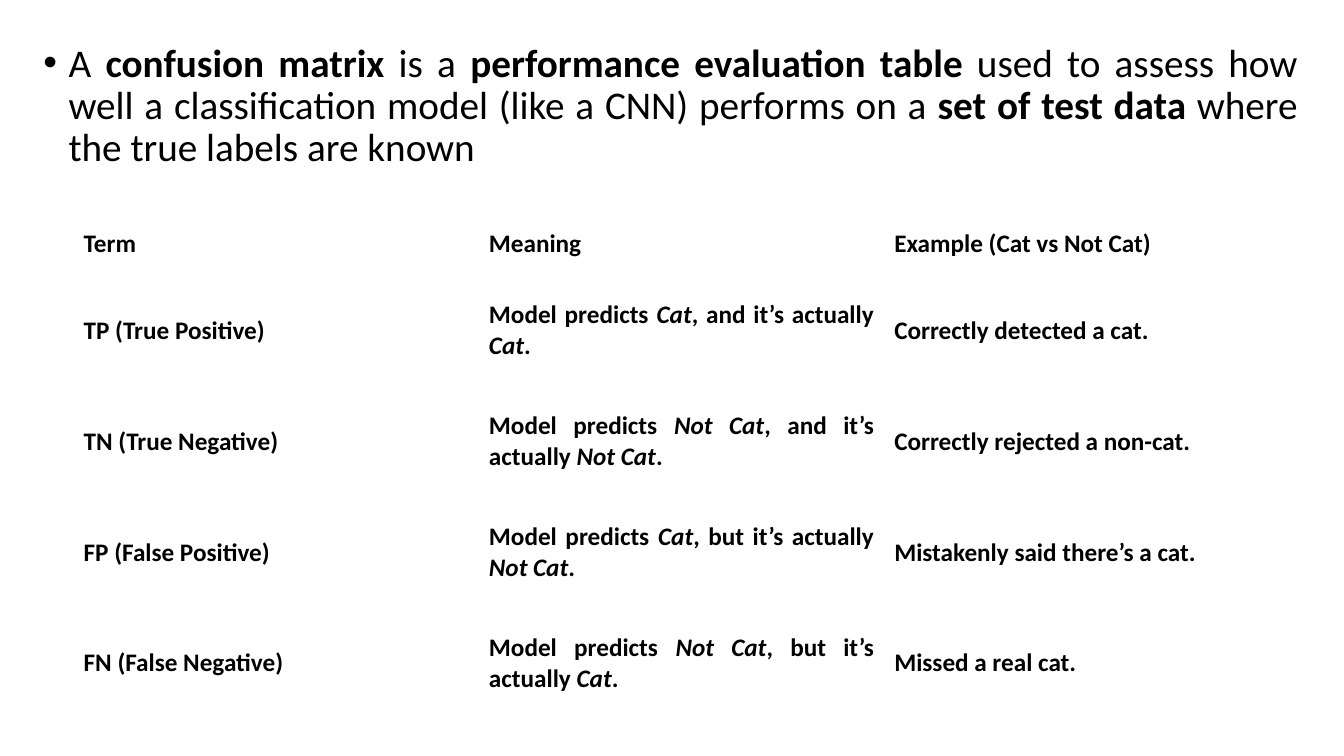
"""Build a slide that explains the terms of a confusion matrix."""
from lxml import etree
from pptx import Presentation
from pptx.dml.color import RGBColor
from pptx.enum import text
from pptx.oxml import ns
from pptx.util import Inches, Pt

COLOURS = {"text": "000000", "page": "FFFFFF"}
FONT = "Calibri"
INTRO = (
    "A *confusion matrix* is a *performance evaluation table* used to assess "
    "how well a classification model (like a CNN) performs on a "
    "*set of test data* where the true labels are known"
)
ROWS = [
    ("Term", "Meaning", "Example (Cat vs Not Cat)"),
    ("TP (True Positive)", "Model predicts *Cat*, and it’s actually *Cat*.",
     "Correctly detected a cat."),
    ("TN (True Negative)", "Model predicts *Not Cat*, and it’s actually *Not Cat*.",
     "Correctly rejected a non-cat."),
    ("FP (False Positive)", "Model predicts *Cat*, but it’s actually *Not Cat*.",
     "Mistakenly said there’s a cat."),
    ("FN (False Negative)", "Model predicts *Not Cat*, but it’s actually *Cat*.",
     "Missed a real cat."),
]


def add_spans(para, marked, size, in_table):
    """Add justified runs; text between asterisks is italic in the table, else bold."""
    para.alignment = text.PP_ALIGN.JUSTIFY
    for index, part in enumerate(marked.split("*")):
        emphasis = index % 2 == 1
        span = para.add_run()
        span.text = part
        span.font.name = FONT
        span.font.size = Pt(size)
        span.font.color.rgb = RGBColor.from_string(COLOURS["text"])
        span.font.bold = in_table or emphasis
        span.font.italic = in_table and emphasis


deck = Presentation()
deck.slide_width = Inches(13.33)
deck.slide_height = Inches(7.5)
page = deck.slides.add_slide(deck.slide_layouts.get_by_name("Title and Content"))
page.background.fill.solid()
page.background.fill.fore_color.rgb = RGBColor.from_string(COLOURS["page"])
title = page.shapes.title.element
title.getparent().remove(title)

intro = page.placeholders[1]
intro.left, intro.top = Inches(0.33), Inches(0.38)
intro.width, intro.height = Inches(12.64), Inches(6.73)
intro.text_frame.auto_size = text.MSO_AUTO_SIZE.NONE
intro.text_frame.vertical_anchor = text.MSO_ANCHOR.TOP
para = intro.text_frame.paragraphs[0]
props = para._p.get_or_add_pPr()
props.set("marL", str(Inches(0.25)))
props.set("indent", str(Inches(-0.25)))
etree.SubElement(props, ns.qn("a:buFont"), typeface="Arial")
etree.SubElement(props, ns.qn("a:buChar"), char="•")
para.line_spacing = 0.9
para.space_before = Pt(0)
add_spans(para, INTRO, 28, False)

table = page.shapes.add_table(
    len(ROWS), len(ROWS[0]), Inches(0.73), Inches(2.1), Inches(12.06), Inches(5.03)
).table
table.first_row = False
table.horz_banding = False
for column in table.columns:
    column.width = Inches(4.02)
for index, values in enumerate(ROWS):
    table.rows[index].height = Inches(1.1 if index else 0.63)
    for column, value in enumerate(values):
        cell = table.cell(index, column)
        cell.fill.background()
        cell.vertical_anchor = text.MSO_ANCHOR.MIDDLE
        add_spans(cell.text_frame.paragraphs[0], value, 18, True)

deck.save("out.pptx")
